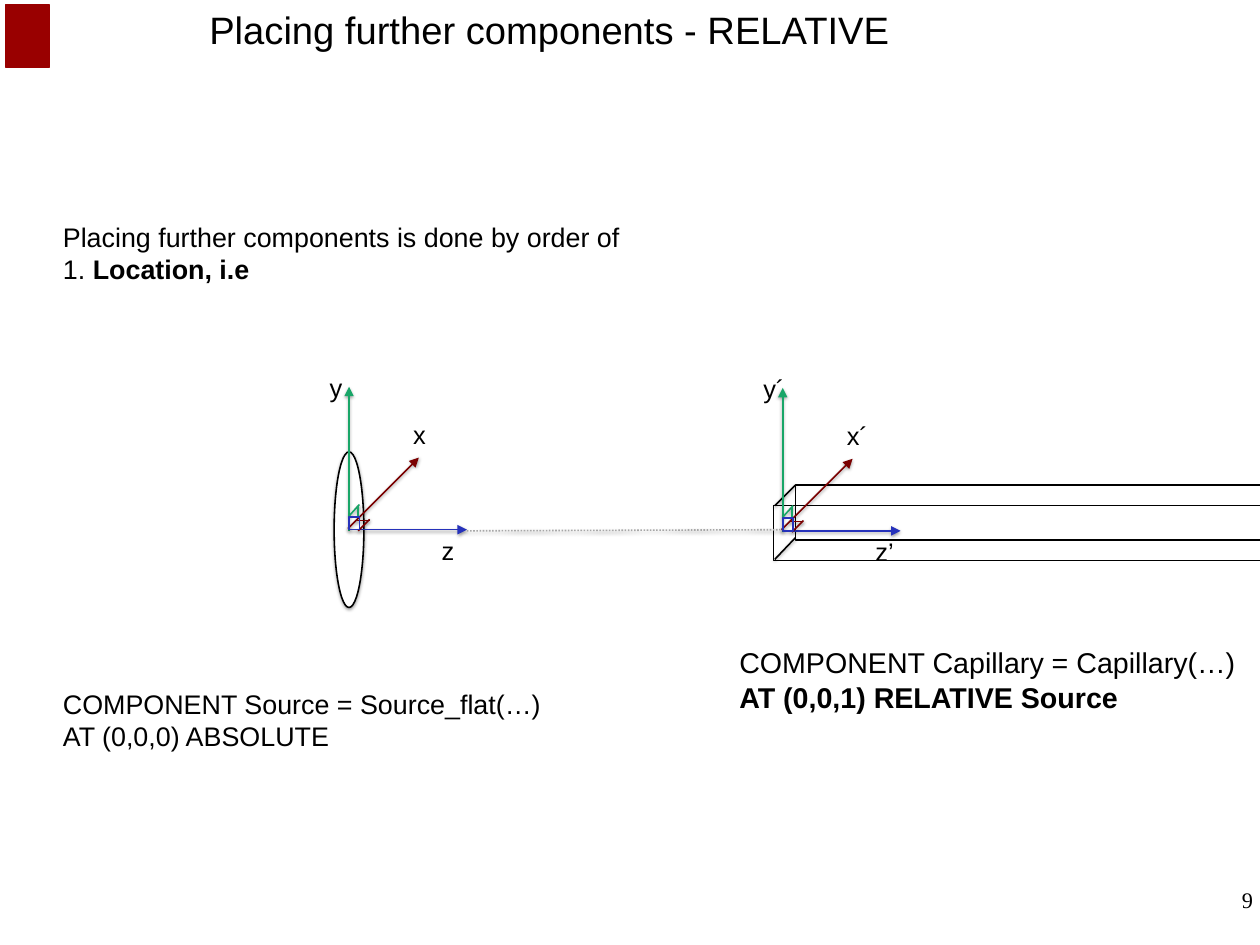
from lxml.etree import SubElement
from pptx import Presentation
from pptx.dml.color import RGBColor
from pptx.enum.dml import MSO_LINE
from pptx.enum.shapes import MSO_CONNECTOR, MSO_SHAPE
from pptx.enum.text import MSO_ANCHOR, PP_ALIGN
from pptx.oxml.ns import qn
from pptx.util import Emu, Pt

PX = 9144  # one hundredth of an inch
BLACK, WHITE, GREY = "000000", "FFFFFF", "A7A7A7"
GREEN, BLUE, RED, CRIMSON = "19A668", "2632BB", "7A0000", "990000"


def px(value):
    return Emu(value * PX)


def color(value):
    return RGBColor.from_string(value)


def set_shadow(shape, shown):
    """Override the theme shadow with none, or with a small one below."""
    properties = shape._element.spPr
    effects = SubElement(properties, qn("a:effectLst"))
    if shown:
        outer = SubElement(effects, qn("a:outerShdw"), blurRad=str(Pt(2)),
                           dist=str(Pt(1)), dir="5400000", rotWithShape="0")
        black = SubElement(outer, qn("a:srgbClr"), val=BLACK)
        SubElement(black, qn("a:alpha"), val="38000")


def add_outline(page, kind, left, top, width, height, line=BLACK, fill=None, shadow=False):
    shape = page.shapes.add_shape(kind, px(left), px(top), px(width), px(height))
    if fill:
        shape.fill.solid()
        shape.fill.fore_color.rgb = color(fill)
    else:
        shape.fill.background()
    shape.line.color.rgb = color(line)
    shape.line.width = Pt(1)
    set_shadow(shape, shadow)


def add_line(page, start, end, line, arrow=False, dash=None):
    connector = page.shapes.add_connector(
        MSO_CONNECTOR.STRAIGHT, *map(px, start), *map(px, end))
    connector.line.color.rgb = color(line)
    connector.line.width = Pt(1)
    if dash:
        connector.line.dash_style = dash
    if arrow:
        SubElement(connector.line._get_or_add_ln(), qn("a:tailEnd"), type="triangle")
    set_shadow(connector, True)


def add_text(page, left, top, width, height, lines, size, font="Arial",
             align=PP_ALIGN.LEFT, anchor=MSO_ANCHOR.TOP, wrap=True):
    """Write one paragraph per line; a line is a list of (text, bold) pairs."""
    box = page.shapes.add_textbox(px(left), px(top), px(width), px(height))
    frame = box.text_frame
    frame.margin_left = frame.margin_right = frame.margin_top = frame.margin_bottom = 0
    frame.word_wrap = wrap
    frame.vertical_anchor = anchor
    for index, line in enumerate(lines):
        para = frame.add_paragraph() if index else frame.paragraphs[0]
        para.alignment = align
        for text, bold in line:
            span = para.add_run()
            span.text = text
            span.font.name = font
            span.font.size = Pt(size)
            span.font.bold = bold
            span.font.color.rgb = color(BLACK)


def add_axes(page, x, y, mark=""):
    """Draw a coordinate system with its right-angle marks around (x, y)."""
    strokes = [
        ((0, 1), (0, -125), GREEN, True),
        ((0, 0), (103, 0), BLUE, True),
        ((-1, -1), (61, -63), RED, True),
        ((6, -8), (18, -8), RED, False),
        ((8, 1), (18, -9), RED, False),
        ((0, -12), (9, -22), GREEN, False),
        ((8, -12), (8, -21), GREEN, False),
    ]
    for (x1, y1), (x2, y2), line, arrow in strokes:
        add_line(page, (x + x1, y + y1), (x + x2, y + y2), line, arrow)
    add_outline(page, MSO_SHAPE.RECTANGLE, x, y - 11, 9, 11, BLUE)
    marks = {"x": mark, "y": mark, "z": "’" if mark else ""}
    places = {"x": (56, -97), "y": (-17, -138), "z": (81, 5)}
    for name, (dx, dy) in places.items():
        add_text(page, x + dx, y + dy, 20, 24, [[(name + marks[name], False)]], 16, wrap=False)


def main():
    deck = Presentation()
    deck.slide_width, deck.slide_height = px(1101), px(826)
    page = deck.slides.add_slide(deck.slide_layouts[6])

    add_outline(page, MSO_SHAPE.RECTANGLE, 5, 4, 38, 55, CRIMSON, CRIMSON)
    add_outline(page, MSO_SHAPE.RECTANGLE, 695, 424, 514, 48, fill=WHITE)
    add_text(page, 157, -4, 646, 59, [[("Placing further components - RELATIVE", False)]],
             24, align=PP_ALIGN.CENTER, anchor=MSO_ANCHOR.MIDDLE)
    add_text(page, 55, 193, 600, 56,
             [[("Placing further components is done by order of", False)],
              [("1. ", False), ("Location, i.e", True)]], 16.9)
    add_text(page, 55, 601, 500, 56,
             [[("COMPONENT Source = Source_flat(…)", False)],
              [("AT (0,0,0) ABSOLUTE", False)]], 16.9)
    add_text(page, 838, 775, 257, 44, [[("9", False)]], 14, "Times New Roman", PP_ALIGN.RIGHT)

    add_outline(page, MSO_SHAPE.OVAL, 292, 395, 26, 136, fill=WHITE, shadow=True)
    add_axes(page, 305, 463)

    add_outline(page, MSO_SHAPE.RECTANGLE, 676, 442, 514, 48)
    for front, back in ((442, 424), (489, 470)):
        add_line(page, (677, front), (695, back), BLACK)
    add_axes(page, 684, 464, "´")
    add_line(page, (408, 464), (682, 463), GREY, dash=MSO_LINE.ROUND_DOT)
    add_text(page, 646, 564, 435, 58,
             [[("COMPONENT Capillary = Capillary(…)", False)],
              [("AT (0,0,1) RELATIVE Source", True)]], 18)

    deck.save("out.pptx")


if __name__ == "__main__":
    main()
